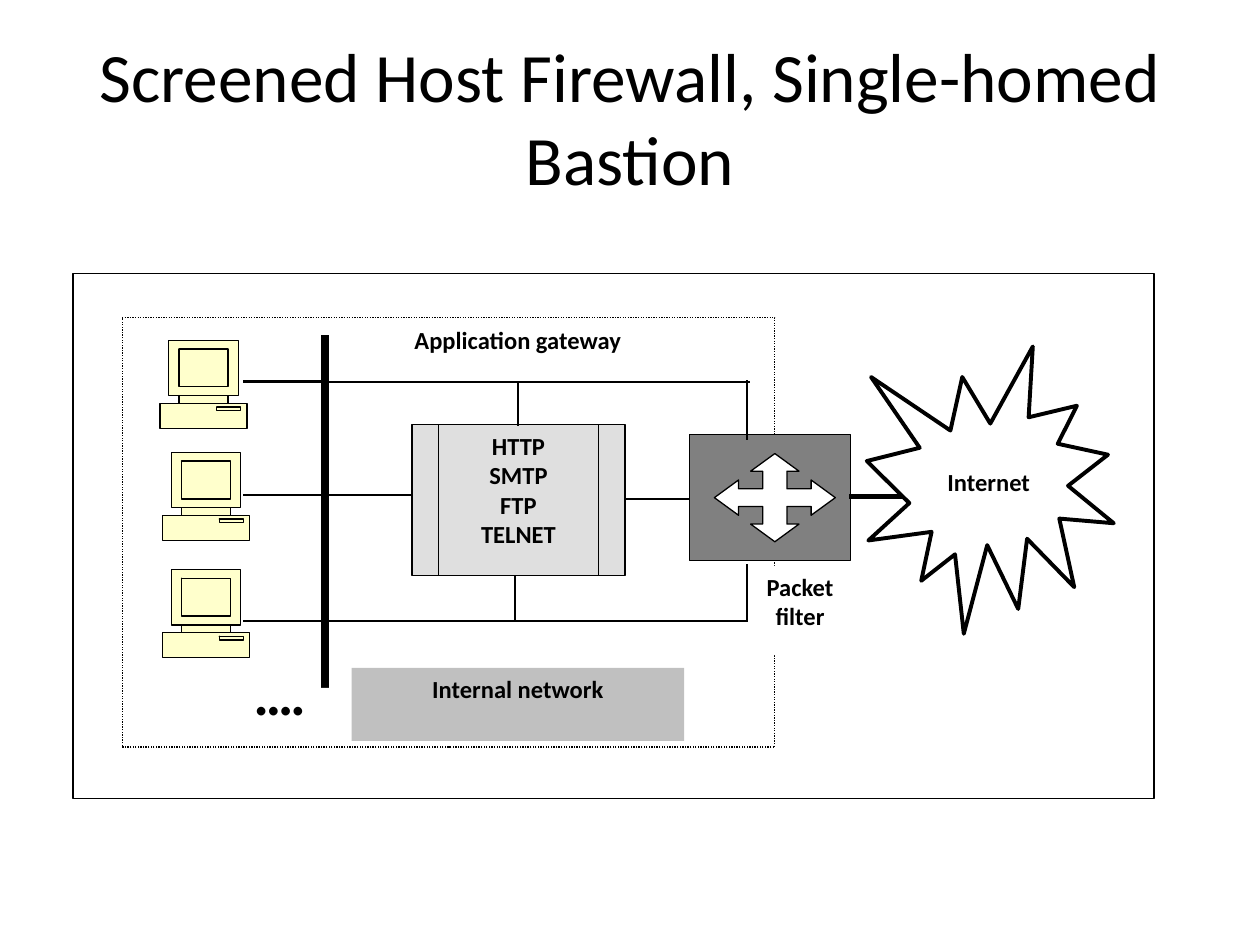
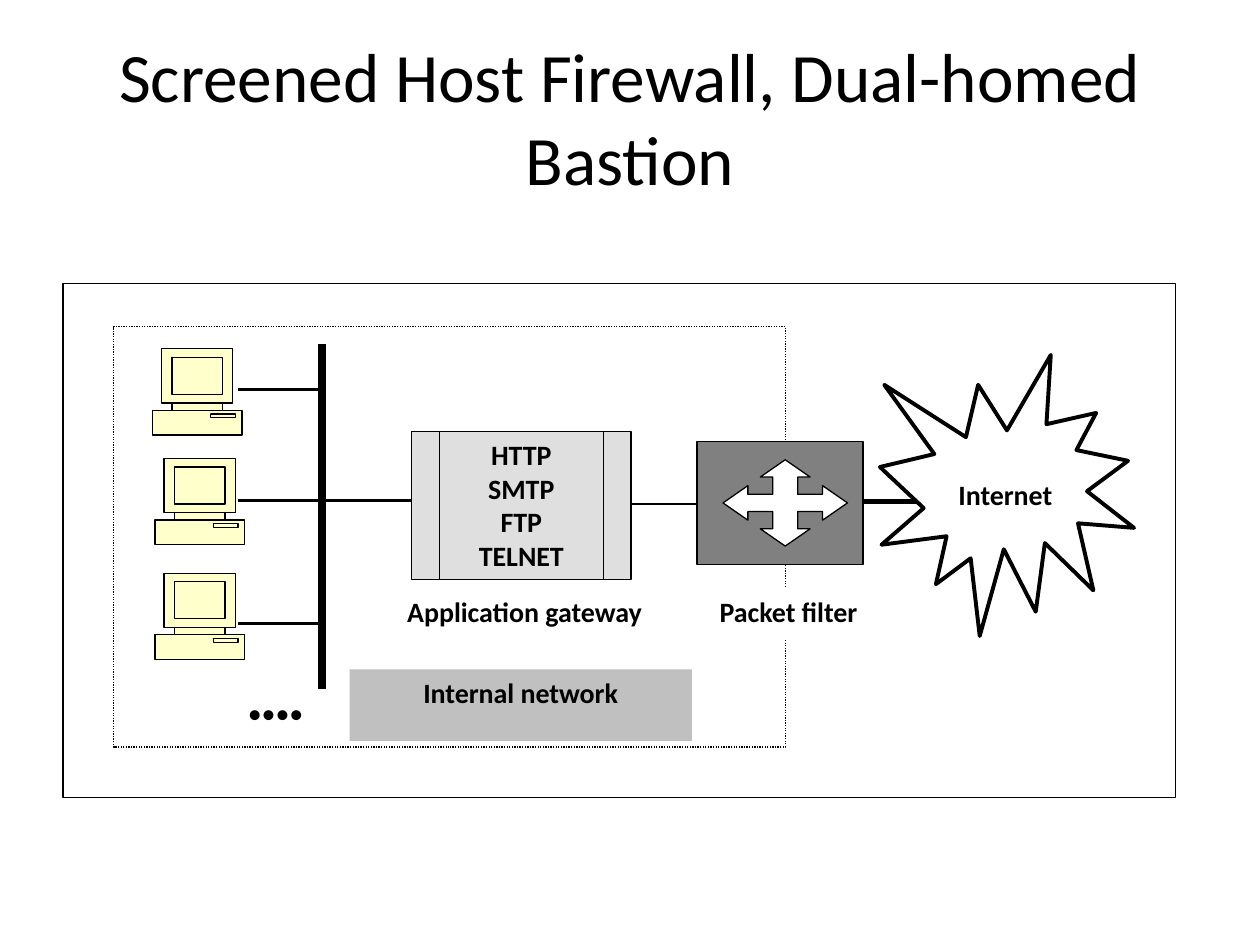
"""Build two slides that compare screened host firewall layouts."""
from lxml import etree
from pptx import Presentation
from pptx.dml.color import RGBColor
from pptx.enum.dml import MSO_LINE
from pptx.enum.shapes import MSO_CONNECTOR, MSO_SHAPE
from pptx.enum.text import MSO_ANCHOR, MSO_AUTO_SIZE, PP_ALIGN
from pptx.oxml.ns import qn
from pptx.util import Inches, Pt

BLACK = RGBColor(0x00, 0x00, 0x00)
WHITE = RGBColor(0xFF, 0xFF, 0xFF)
GRAY = RGBColor(0x80, 0x80, 0x80)
SILVER = RGBColor(0xC0, 0xC0, 0xC0)
CREAM = RGBColor(0xFF, 0xFF, 0xCC)
FONT = "Calibri"
RECT = MSO_SHAPE.RECTANGLE
PROCESS = MSO_SHAPE.FLOWCHART_PREDEFINED_PROCESS
BURST = MSO_SHAPE.EXPLOSION1
STRAIGHT = MSO_CONNECTOR.STRAIGHT
DOTTED = MSO_LINE.ROUND_DOT
CENTER = PP_ALIGN.CENTER
TOP, MIDDLE = MSO_ANCHOR.TOP, MSO_ANCHOR.MIDDLE
NO_FIT = MSO_AUTO_SIZE.NONE
TITLE_ONLY = 5

FRAME = (0.58, 2.17, 8.58, 4.17)
COMPUTERS = [(1.27, 2.7), (1.29, 3.59), (1.29, 4.52)]
LINK_ROWS = [3.03, 3.93, 4.93]
COMPUTER_BODY = [(0.54, 0.5), (0.54, 0.44), (0.62, 0.44), (0.62, 0), (0.07, 0),
                 (0.07, 0.44), (0.15, 0.44), (0.15, 0.5), (0, 0.5), (0, 0.7),
                 (0.69, 0.7), (0.69, 0.5)]
COMPUTER_DETAILS = [(0.15, 0.44, 0.54, 0.5), (0.15, 0.07, 0.54, 0.37),
                    (0.45, 0.53, 0.64, 0.56)]
ARROW_ARM = [(0, -1), (0.4, -0.6), (0.2, -0.6), (0.2, -0.2), (0.6, -0.2), (0.6, -0.4)]
BRANCHES = [(2.59, 3.03, 5.95, 3.03), (5.93, 3.02, 5.93, 3.49),
            (5.93, 4.48, 5.93, 4.94), (2.61, 4.93, 5.93, 4.93),
            (4.11, 3.04, 4.11, 3.38), (4.09, 4.57, 4.09, 4.94)]
PAGES = [
    {"title": "Screened Host Firewall, Single-homed Bastion", "frame": FRAME,
     "size": 14, "link": 1, "branches": BRANCHES,
     "filter_label": (5.83, 4.49, 1.04, 0.71),
     "gateway_label": (3.06, 2.53, 2.1, 0.47)},
    {"title": "Screened Host Firewall, Dual-homed Bastion",
     "frame": (0.5, 2.25, 8.83, 4.08),
     "size": 16, "link": 1.5, "branches": [],
     "filter_label": (5.47, 4.64, 1.41, 0.42),
     "gateway_label": (3.09, 4.64, 2.1, 0.47)},
]


def apply(target, values):
    """Set each named attribute of the target."""
    for name, value in values.items():
        setattr(target, name, value)


class Diagram:
    """Draw elements on one page, scaled from the base frame to its own frame."""

    def __init__(self, deck, title, frame, size):
        """Add a page with its title and keep its style."""
        self.page = deck.slides.add_slide(deck.slide_layouts[TITLE_ONLY])
        self.frame = frame
        self.size = size
        self.scale_x = frame[2] / FRAME[2]
        self.scale_y = frame[3] / FRAME[3]
        box = self.page.shapes.title
        apply(box, {"left": Inches(0.5), "top": Inches(0.3),
                    "width": Inches(9), "height": Inches(1.25)})
        self.set_text(box, [title], 39.6, False, MIDDLE)

    def point(self, x, y):
        """Map a base position to this page."""
        return (Inches(self.frame[0] + (x - FRAME[0]) * self.scale_x),
                Inches(self.frame[1] + (y - FRAME[1]) * self.scale_y))

    def set_text(self, box, lines, size, bold=True, anchor=TOP):
        """Fill a box with centred paragraphs."""
        frame = box.text_frame
        apply(frame, {"word_wrap": True, "auto_size": NO_FIT, "vertical_anchor": anchor})
        for index, line in enumerate(lines):
            para = frame.add_paragraph() if index else frame.paragraphs[0]
            para.alignment = CENTER
            span = para.add_run()
            span.text = line
            apply(span.font, {"name": FONT, "size": Pt(size), "bold": bold})
            span.font.color.rgb = BLACK

    def paint(self, shape, fill, weight):
        """Give a shape its fill and outline without a shadow."""
        shape.shadow.inherit = False
        shape.fill.solid()
        shape.fill.fore_color.rgb = fill
        if weight:
            shape.line.color.rgb = BLACK
            shape.line.width = Pt(weight)
        else:
            shape.line.fill.background()

    def shape(self, kind, place, fill=WHITE, weight=0.75, lines=(), bold=True):
        """Add a preset shape with optional text."""
        left, top, width, height = place
        shape = self.page.shapes.add_shape(
            kind, *self.point(left, top),
            Inches(width * self.scale_x), Inches(height * self.scale_y))
        self.paint(shape, fill, weight)
        if lines:
            self.set_text(shape, lines, self.size, bold)
        return shape

    def label(self, place, text, fill=WHITE, bold=True):
        """Add a borderless text panel."""
        self.shape(RECT, place, fill, 0, [text], bold)

    def line(self, x1, y1, x2, y2, weight):
        """Add a straight black line."""
        line = self.page.shapes.add_connector(
            STRAIGHT, *self.point(x1, y1), *self.point(x2, y2))
        line.line.color.rgb = BLACK
        line.line.width = Pt(weight)
        etree.SubElement(line._element.spPr, qn("a:effectLst"))

    def outline(self, points, fill, details=()):
        """Add a closed outline with detail strokes that leave its fill whole."""
        places = [self.point(x, y) for x, y in points]
        builder = self.page.shapes.build_freeform(*places[0])
        builder.add_line_segments(places[1:], close=True)
        for detail in details:
            stroke = [self.point(x, y) for x, y in detail]
            builder.move_to(*stroke[0])
            builder.add_line_segments(stroke[1:] + stroke[-2::-1], close=False)
        self.paint(builder.convert_to_shape(), fill, 0.75)

    def computer(self, left, top):
        """Add a desktop computer."""
        body = [(left + x, top + y) for x, y in COMPUTER_BODY]
        details = []
        for x1, y1, x2, y2 in COMPUTER_DETAILS:
            corners = [(x1, y1), (x2, y1), (x2, y2), (x1, y2), (x1, y1)]
            details.append([(left + x, top + y) for x, y in corners])
        self.outline(body, CREAM, details)

    def packet_filter(self):
        """Add the router box with its four-way arrow."""
        self.shape(RECT, (5.47, 3.45, 1.28, 1), GRAY)
        arm, points = ARROW_ARM, []
        for _ in range(4):
            points += [(6.15 + 0.48 * x, 3.95 + 0.35 * y) for x, y in arm]
            arm = [(-y, x) for x, y in arm]
        self.outline(points, WHITE)

    def gateway(self):
        """Add the half-transparent application gateway."""
        box = self.shape(PROCESS, (3.27, 3.37, 1.69, 1.2), SILVER,
                         lines=["HTTP", "SMTP", "FTP", "TELNET"])
        color = box._element.spPr.find(qn("a:solidFill"))[0]
        etree.SubElement(color, qn("a:alpha"), val="50000")

    def internet(self):
        """Add the burst, its text set one line below the top."""
        burst = self.shape(BURST, (6.88, 2.75, 1.96, 2.28), weight=2.25, lines=["Internet"])
        burst.text_frame.margin_top = Inches(0.05) + Pt(self.size * 1.22)


def draw(deck, title, frame, size, link, branches, filter_label, gateway_label):
    """Draw one firewall layout."""
    diagram = Diagram(deck, title, frame, size)
    diagram.shape(RECT, FRAME)
    network = diagram.shape(RECT, (0.97, 2.52, 5.18, 3.41))
    network.line.dash_style = DOTTED
    diagram.packet_filter()
    for left, top in COMPUTERS:
        diagram.computer(left, top)
    diagram.line(2.58, 2.66, 2.58, 5.47, 4.5)
    for row in LINK_ROWS:
        diagram.line(1.93, row, 2.59, row, 1.5)
    diagram.line(2.59, 3.93, 3.27, 3.93, link)
    diagram.label((1.57, 5.46, 1.3, 0.4), "••••", bold=False)
    diagram.label(filter_label, "Packet filter")
    diagram.gateway()
    diagram.line(4.96, 3.96, 5.47, 3.96, link)
    diagram.line(6.74, 3.94, 7.25, 3.94, 3)
    diagram.internet()
    diagram.label(gateway_label, "Application gateway")
    diagram.label((2.79, 5.3, 2.64, 0.58), "Internal network", SILVER)
    for branch in branches:
        diagram.line(*branch, link)


def main():
    """Build and save the deck."""
    deck = Presentation()
    deck.slide_width, deck.slide_height = Inches(10), Inches(7.5)
    for page in PAGES:
        draw(deck, **page)
    deck.save("out.pptx")


if __name__ == "__main__":
    main()
